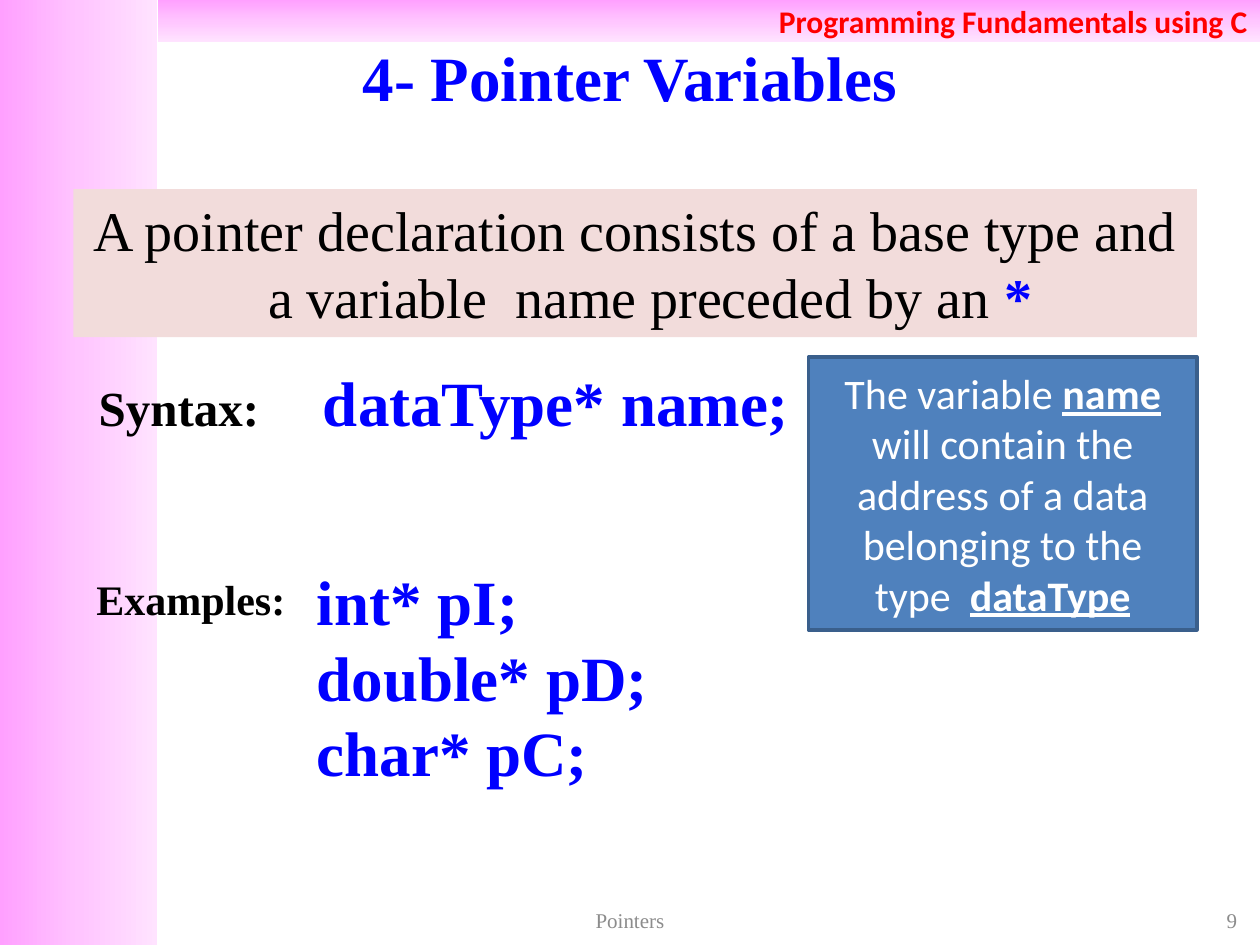
import copy

import pptx
import pptx.util
import pptx.dml.color
import pptx.enum.shapes
import pptx.enum.text
import pptx.oxml
import pptx.oxml.ns

CELL = pptx.util.Inches(1 / 12)
COLUMNS, ROWS = 120, 90
SERIF, SANS = "Times New Roman", "Calibri"
BLUE, BLACK, GREY, WHITE = "0000FF", "000000", "8C8C8C", "FFFFFF"
PINKS = ("FFA0FF", "FFC5FF", "FFE3FF")
ALIGN = pptx.enum.text.PP_ALIGN
ANCHOR = pptx.enum.text.MSO_ANCHOR


def color(value):
    return pptx.dml.color.RGBColor.from_string(value)


def cells(*counts):
    return [round(count * CELL) for count in counts]


def style(font, size=None, name=None, ink=None, bold=None, underline=None):
    if size:
        font.size = pptx.util.Pt(size)
    if name:
        font.name = name
    if ink:
        font.color.rgb = color(ink)
    if bold is not None:
        font.bold = bold
    if underline is not None:
        font.underline = underline


def write(box, lines, size, ink, name=SERIF, bold=False,
          align=ALIGN.LEFT, anchor=ANCHOR.TOP, wrap=True):
    frame = box.text_frame
    frame.word_wrap = wrap
    frame.auto_size = pptx.enum.text.MSO_AUTO_SIZE.NONE
    frame.vertical_anchor = anchor
    for index, spans in enumerate(lines):
        para = frame.add_paragraph() if index else frame.paragraphs[0]
        para.alignment = align
        style(para.font, size, name, ink, bold)
        for text, changes in spans:
            span = para.add_run()
            span.text = text
            style(span.font, **changes)
    return frame


def add_text(page, place, lines, size, ink, **options):
    box = page.shapes.add_textbox(*cells(*place))
    return write(box, lines, size, ink, **options)


def add_panel(page, place, fill=None, line=None):
    box = page.shapes.add_shape(pptx.enum.shapes.MSO_SHAPE.RECTANGLE, *cells(*place))
    box.shadow.inherit = False
    if fill:
        box.fill.solid()
        box.fill.fore_color.rgb = color(fill)
    if line:
        box.line.color.rgb = color(line)
        box.line.width = pptx.util.Pt(2)
    else:
        box.line.fill.background()
    return box


def add_gradient_bar(page, place, angle):
    bar = add_panel(page, place)
    bar.fill.gradient()
    bar.fill.gradient_angle = angle
    first = next(bar.element.iter(pptx.oxml.ns.qn("a:gs")))
    middle = copy.deepcopy(first)
    middle.set("pos", "50000")
    first.addnext(middle)
    for stop, pink in zip(bar.fill.gradient_stops, PINKS):
        stop.color.rgb = color(pink)
    return bar


def set_indent(para, left, first):
    properties = para._p.get_or_add_pPr()
    properties.set("marL", str(pptx.util.Inches(left)))
    properties.set("indent", str(pptx.util.Inches(first)))


def set_tab(para, place):
    properties = para._p.get_or_add_pPr()
    stops = pptx.oxml.parse_xml(
        f'<a:tabLst {pptx.oxml.ns.nsdecls("a")}>'
        f'<a:tab pos="{pptx.util.Inches(place)}" algn="l"/></a:tabLst>')
    defaults = properties.find(pptx.oxml.ns.qn("a:defRPr"))
    if defaults is None:
        properties.append(stops)
    else:
        defaults.addprevious(stops)


def add_title(page, text):
    title = page.shapes.title
    title.left, title.top, title.width, title.height = cells(0, 3.6, COLUMNS, 7.4)
    write(title, [[(text, {})]], 36, BLUE, bold=True,
          align=ALIGN.CENTER, anchor=ANCHOR.MIDDLE)


def add_frame(page):
    add_gradient_bar(page, (0, 0, 15, ROWS), 0)
    header = add_gradient_bar(page, (15, 0, COLUMNS - 15, 4), 270)
    write(header, [[("Programming Fundamentals using C", {})]], 18, "FF0000",
          name=SANS, bold=True, align=ALIGN.RIGHT, anchor=ANCHOR.MIDDLE)
    for place, text, align in (((41, 86, 38, 3.2), "Pointers", ALIGN.CENTER),
                               ((91, 86, 28, 3.2), "9", ALIGN.RIGHT)):
        add_text(page, place, [[(text, {})]], 12, GREY,
                 align=align, anchor=ANCHOR.MIDDLE)


def add_definition(page):
    panel = add_panel(page, (7, 18, 107, 14.1), "F2DCDB")
    frame = write(panel, [[
        ("A pointer declaration consists of a base type and "
         "a variable  name preceded by an ", {}),
        ("*", {"ink": BLUE, "bold": True})]], 32, BLACK, align=ALIGN.CENTER)
    set_indent(frame.paragraphs[0], 0.24, -0.24)


def add_syntax(page):
    frame = add_text(page, (7, 34, 70, 8.5), [[
        ("Syntax:", {"size": 28, "ink": BLACK}),
        ("\tdataType* name;", {})]], 36, BLUE, bold=True)
    frame.margin_left = pptx.util.Inches(0.2)
    set_tab(frame.paragraphs[0], 1.78)


def add_examples(page):
    add_text(page, (8, 54, 20.6, 6), [[("Examples:", {})]], 24, BLACK,
             bold=True, wrap=False)
    declarations = ("int* pI;", "double* pD;", "char* pC;")
    add_text(page, (29, 53, 51, 23), [[(text, {})] for text in declarations],
             36, BLUE, bold=True)


def add_note(page):
    strong = {"bold": True, "underline": True}
    panel = add_panel(page, (77, 34, 37, 26), "4F81BD", "3A5F8C")
    write(panel, [[
        ("The variable ", {}), ("name", strong),
        (" will contain the address of a data belonging to the type  ", {}),
        ("dataType", strong)]], 24, WHITE, name=SANS,
        align=ALIGN.CENTER, anchor=ANCHOR.MIDDLE)


def main():
    deck = pptx.Presentation()
    deck.slide_width, deck.slide_height = cells(COLUMNS, ROWS)
    page = deck.slides.add_slide(deck.slide_layouts.get_by_name("Title Only"))
    add_frame(page)
    add_title(page, "4- Pointer Variables")
    add_definition(page)
    add_syntax(page)
    add_examples(page)
    add_note(page)
    deck.save("out.pptx")


main()
